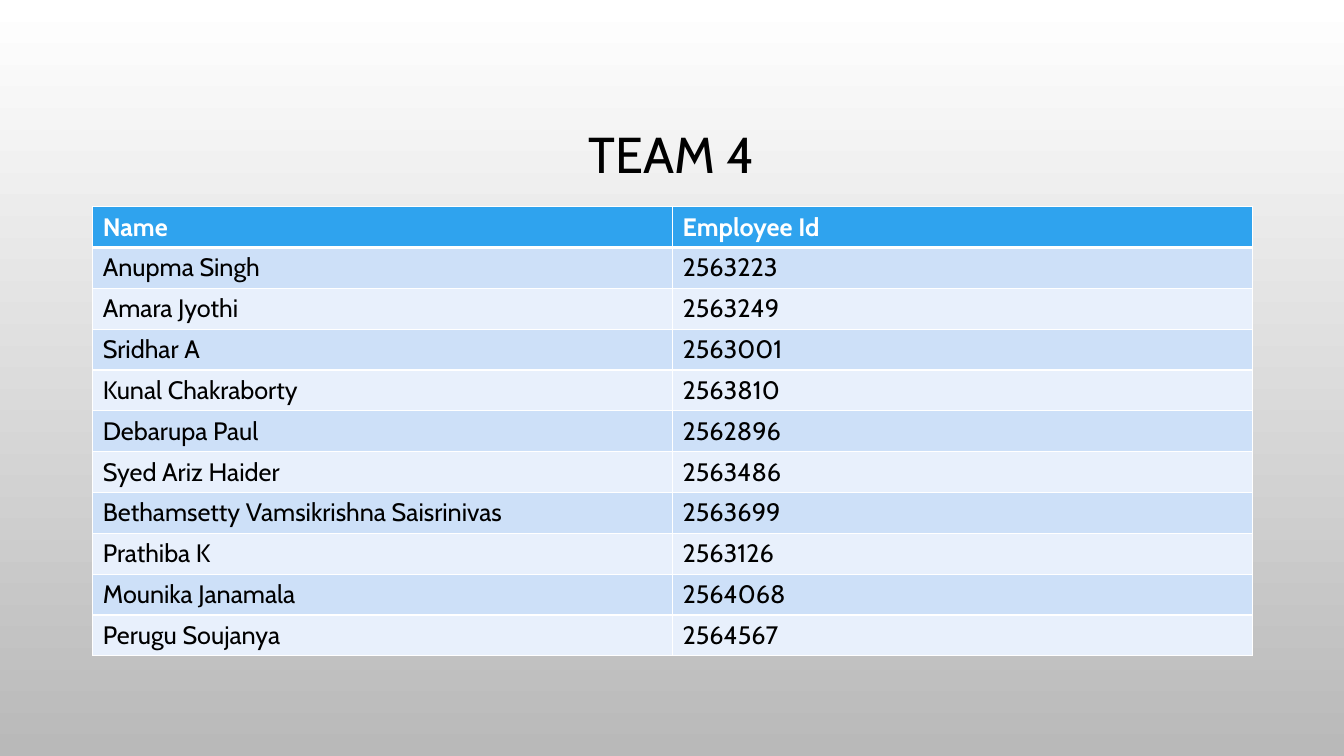
"""Build the Team 4 slide with its table of employees."""
import pptx
import pptx.dml.color
import pptx.enum.text
import pptx.oxml
import pptx.oxml.ns
import pptx.util

Inches, Pt = pptx.util.Inches, pptx.util.Pt
RGBColor = pptx.dml.color.RGBColor

TITLE = "TEAM 4"
HEADER = ("Name", "Employee Id")
MEMBERS = [
    ("Anupma Singh", "2563223"),
    ("Amara Jyothi", "2563249"),
    ("Sridhar A", "2563001"),
    ("Kunal Chakraborty", "2563810"),
    ("Debarupa Paul", "2562896"),
    ("Syed Ariz Haider", "2563486"),
    ("Bethamsetty Vamsikrishna Saisrinivas", "2563699"),
    ("Prathiba K", "2563126"),
    ("Mounika Janamala", "2564068"),
    ("Perugu Soujanya", "2564567"),
]

FONT = "Cabin"
BLACK = RGBColor(0x00, 0x00, 0x00)
WHITE = RGBColor(0xFF, 0xFF, 0xFF)
GRAY = RGBColor(0xB9, 0xB9, 0xB9)
BLUE = RGBColor(0x2F, 0xA3, 0xEE)
BANDS = (RGBColor(0xCD, 0xE0, 0xF8), RGBColor(0xE8, 0xF0, 0xFC))


def style(p, size, color, bold=False):
    for r in p.runs:
        r.font.name = FONT
        r.font.size = Pt(size)
        r.font.bold = bold
        r.font.color.rgb = color


def add_border(cell, side, width):
    cell._tc.get_or_add_tcPr().append(pptx.oxml.parse_xml(
        f'<a:ln{side} {pptx.oxml.ns.nsdecls("a")} w="{Pt(width)}">'
        f'<a:solidFill><a:srgbClr val="{WHITE}"/></a:solidFill></a:ln{side}>'))


def add_background(s):
    fill = s.background.fill
    fill.gradient()
    fill.gradient_angle = 270
    for stop, color, position in zip(fill.gradient_stops, (WHITE, GRAY), (0, 1)):
        stop.color.rgb = color
        stop.position = position


def add_title(s):
    sp = s.shapes.add_textbox(Inches(1), Inches(0.68), Inches(11.33), Inches(1.75))
    tf = sp.text_frame
    tf.word_wrap = True
    tf.vertical_anchor = pptx.enum.text.MSO_ANCHOR.MIDDLE
    p = tf.paragraphs[0]
    p.text = TITLE
    p.alignment = pptx.enum.text.PP_ALIGN.CENTER
    p.line_spacing = 0.9
    style(p, 36, BLACK)


def add_team_table(s):
    rows = [HEADER] + MEMBERS
    table = s.shapes.add_table(len(rows), len(HEADER), Inches(0.92), Inches(2.05),
                               Inches(11.5), Inches(4.46)).table
    for i, values in enumerate(rows):
        is_header = i == 0
        for j, value in enumerate(values):
            cell = table.cell(i, j)
            cell.text = value
            style(cell.text_frame.paragraphs[0], 18,
                  WHITE if is_header else BLACK, is_header)
            widths = {"L": 1, "R": 1, "T": 3 if i == 1 else 1, "B": 3 if is_header else 1}
            for side, width in widths.items():
                add_border(cell, side, width)
            cell.fill.solid()
            cell.fill.fore_color.rgb = BLUE if is_header else BANDS[(i - 1) % 2]


def main():
    prs = pptx.Presentation()
    prs.slide_width, prs.slide_height = Inches(13.33), Inches(7.5)
    s = prs.slides.add_slide(prs.slide_layouts[6])
    add_background(s)
    add_title(s)
    add_team_table(s)
    prs.save("out.pptx")


if __name__ == "__main__":
    main()
